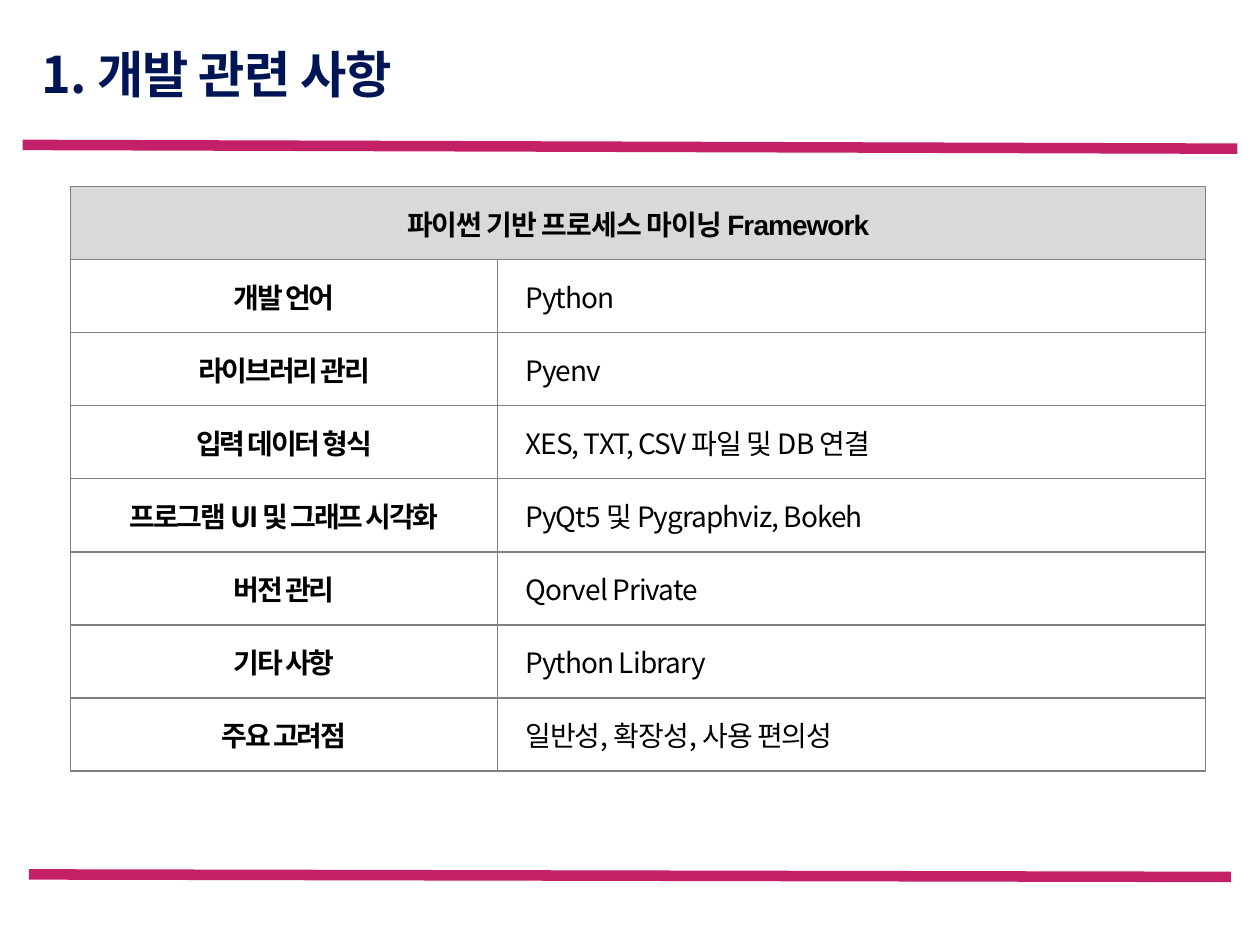
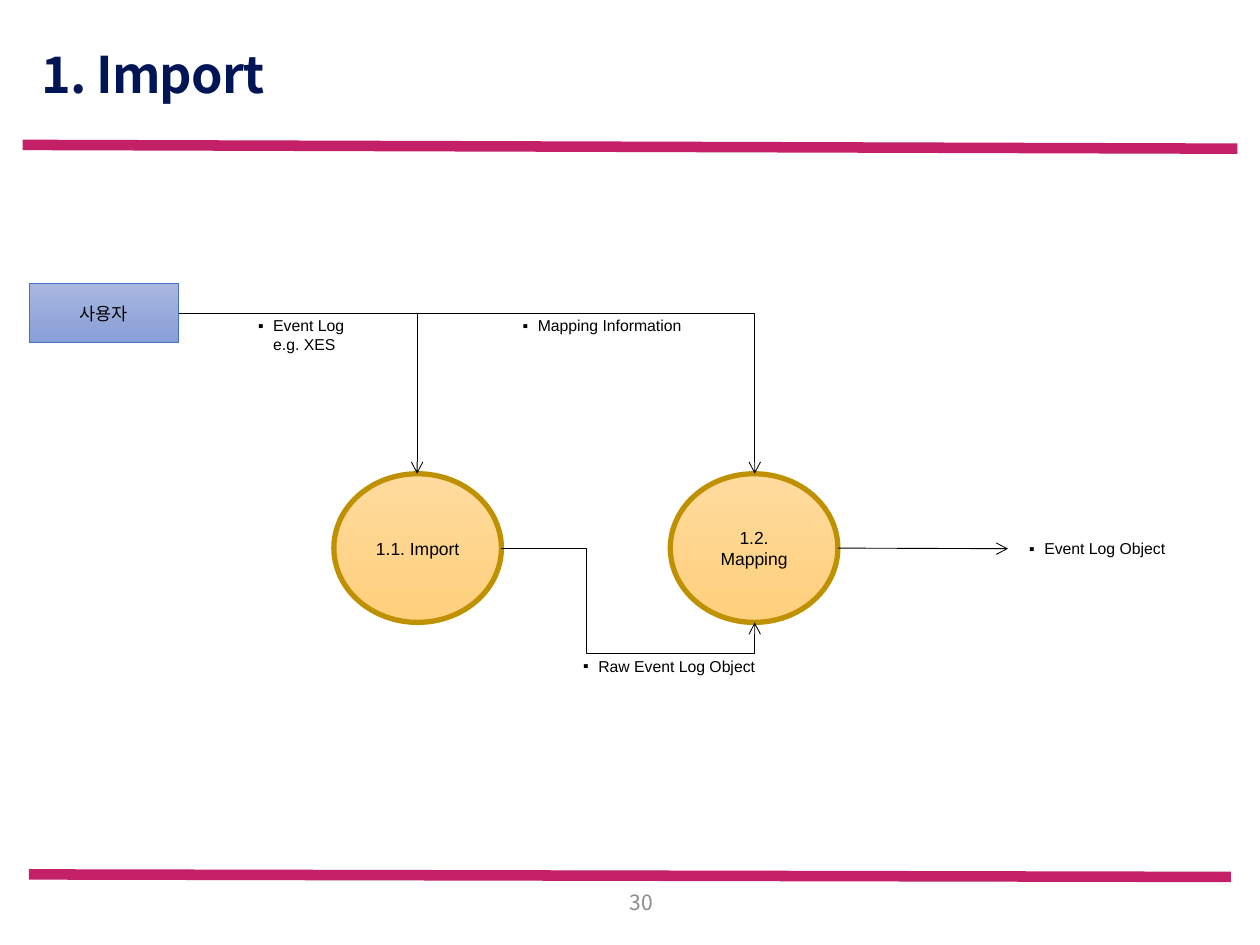
from lxml.etree import SubElement
from pptx import Presentation
from pptx.dml.color import RGBColor
from pptx.enum.shapes import MSO_CONNECTOR, MSO_SHAPE
from pptx.enum.text import MSO_ANCHOR, MSO_AUTO_SIZE, PP_ALIGN
from pptx.oxml.ns import qn
from pptx.util import Inches, Pt

rgb = RGBColor.from_string
NOTO, ARIAL = "Noto Sans CJK KR", "Arial"
NAVY, PINK, BLACK, GRAY = "001555", "C42067", "000000", "8C8C8C"

prs = Presentation()
prs.slide_width, prs.slide_height = Inches(10), Inches(7.5)


def grid(*lengths):
    """Turn lengths in hundredths of the slide's width into EMU."""
    return [round(n * prs.slide_width / 100) for n in lengths]


def write(tf, text, size, font, color=BLACK, align=PP_ALIGN.LEFT, bold=False, spacing=0):
    """Fill the first paragraph of a text frame and return the paragraph."""
    p = tf.paragraphs[0]
    p.alignment = align
    for i, line in enumerate(text.split("\n")):
        if i:
            p.add_line_break()
        r = p.add_run()
        r.text = line
        r.font.size, r.font.name, r.font.bold = Pt(size), font, bold
        r.font.color.rgb = rgb(color)
        rPr = r.font._element
        rPr.set("spc", str(round(spacing * 100)))
        SubElement(rPr, qn("a:ea"), typeface=NOTO)
    return p


# Shared layout: title position and the two bands
layout = prs.slide_layouts[5]
title = layout.placeholders[0]
title.left, title.top, title.width, title.height = grid(2.3, 4, 94.1, 4.3)

slides = []
for text in ("1. 개발 관련 사항", "1. Import"):
    s = prs.slides.add_slide(layout)
    tf = s.shapes.title.text_frame
    tf.vertical_anchor, tf.auto_size = MSO_ANCHOR.MIDDLE, MSO_AUTO_SIZE.NONE
    p = write(tf, text, 28.8, NOTO, NAVY, bold=True, spacing=-0.5)
    p.line_spacing = 0.9
    slides.append(s)
table_slide, flow_slide = slides

for ends in ((1.8, 11.5, 98.2, 11.8), (2.3, 69.4, 97.7, 69.6)):
    band = table_slide.shapes.add_connector(MSO_CONNECTOR.STRAIGHT, *grid(*ends))
    band.line.color.rgb, band.line.width = rgb(PINK), Pt(6)
    SubElement(band.element.spPr, qn("a:effectLst"))
    layout.shapes.element.append(band.element)

# Slide 1: development table
rows = [
    ("파이썬 기반 프로세스 마이닝 Framework", ""),
    ("개발 언어", "Python"),
    ("라이브러리 관리", "Pyenv"),
    ("입력 데이터 형식", "XES, TXT, CSV 파일 및 DB 연결"),
    ("프로그램 UI 및 그래프 시각화", "PyQt5 및 Pygraphviz, Bokeh"),
    ("버전 관리", "Qorvel Private"),
    ("기타 사항", "Python Library"),
    ("주요 고려점", "일반성, 확장성, 사용 편의성"),
]
table = table_slide.shapes.add_table(
    len(rows), 2, *grid(5.6, 14.8, 90.1, 5.8 * len(rows))).table
table.first_row = table.horz_banding = False
table.columns[0].width, table.columns[1].width = grid(33.9, 56.2)
for i, row in enumerate(rows):
    for j, text in enumerate(row):
        cell = table.cell(i, j)
        cell.vertical_anchor = MSO_ANCHOR.MIDDLE
        tcPr = cell._tc.get_or_add_tcPr()
        for side in ("lnL", "lnR", "lnT", "lnB"):
            ln = SubElement(tcPr, qn(f"a:{side}"), w=str(Pt(1)))
            SubElement(SubElement(ln, qn("a:solidFill")), qn("a:srgbClr"), val="808080")
        cell.fill.solid()
        cell.fill.fore_color.rgb = rgb("FFFFFF" if i else "D9D9D9")
        if not text:
            continue
        label = j == 0
        p = write(cell.text_frame, text, 16, NOTO if i else ARIAL,
                  align=PP_ALIGN.CENTER if label else PP_ALIGN.LEFT,
                  bold=label, spacing=-1.2 if label and i else -0.5)
        if not label:
            p._p.get_or_add_pPr().set("marL", str(Inches(0.12)))
table.cell(0, 0).merge(table.cell(0, 1))

# Slide 2: import flow
USER = (MSO_SHAPE.RECTANGLE, "A8B7DF", "889ED7", "4472C4", 0.5)
PROCESS = (MSO_SHAPE.OVAL, "FFDB9E", "FFD07C", "BF9000", 3)
nodes = [
    ("사용자", USER, (2.3, 22.5, 11.9, 4.7)),
    ("1.1. Import", PROCESS, (26.5, 37.6, 13.3, 11.8)),
    ("1.2. Mapping", PROCESS, (53.2, 37.6, 13.3, 11.8)),
]
for text, (kind, top, bottom, edge, width), box in nodes:
    sp = flow_slide.shapes.add_shape(kind, *grid(*box))
    sp.shadow.inherit = False
    sp.fill.gradient()
    sp.fill.gradient_angle = 270
    for stop, color in zip(sp.fill.gradient_stops, (top, bottom)):
        stop.color.rgb = rgb(color)
    sp.line.color.rgb, sp.line.width = rgb(edge), Pt(width)
    sp.text_frame.vertical_anchor = MSO_ANCHOR.MIDDLE
    write(sp.text_frame, text, 10, ARIAL, align=PP_ALIGN.CENTER)

labels = [
    ("Event Log\ne.g. XES", (18.8, 24.6, 9.6, 4)),
    ("Mapping Information", (39.8, 24.6, 15.4, 2.5)),
    ("Raw Event Log Object", (44.6, 51.6, 16.5, 2.5)),
    ("Event Log Object", (80, 42.3, 13.6, 2.5)),
]
for text, box in labels:
    output = flow_slide.shapes.add_textbox(*grid(*box))
    tf = output.text_frame
    tf.word_wrap, tf.auto_size = False, MSO_AUTO_SIZE.SHAPE_TO_FIT_TEXT
    pPr = write(tf, text, 9, ARIAL)._p.get_or_add_pPr()
    pPr.set("marL", str(Inches(0.19)))
    pPr.set("indent", str(Inches(-0.12)))
    SubElement(pPr, qn("a:buFont"), typeface=ARIAL)
    SubElement(pPr, qn("a:buChar"), char="▪")

arrows = [
    ("bentConnector2", (14.2, 24.9, 33.1, 37.6), ()),
    ("bentConnector2", (14.2, 24.9, 59.9, 37.6), ()),
    ("bentConnector4", (39.8, 43.5, 59.9, 49.4), (33500, 142300)),
    ("line", (66.5, 43.5, 80, 43.5), ()),
]
for preset, ends, adjustments in arrows:
    straight = preset == "line"
    cx = flow_slide.shapes.add_connector(
        MSO_CONNECTOR.STRAIGHT if straight else MSO_CONNECTOR.ELBOW, *grid(*ends))
    if straight:
        cx.end_connect(output, 1)
    geom = cx.element.spPr.find(qn("a:prstGeom"))
    geom.set("prst", preset)
    for n, value in enumerate(adjustments, 1):
        SubElement(geom.find(qn("a:avLst")), qn("a:gd"), name=f"adj{n}", fmla=f"val {value}")
    cx.line.color.rgb, cx.line.width = rgb(BLACK), Pt(0.5)
    SubElement(cx.line._get_or_add_ln(), qn("a:tailEnd"), type="arrow")
    SubElement(cx.element.spPr, qn("a:effectLst"))

tf = flow_slide.shapes.add_textbox(*grid(46.9, 70.5, 5.9, 2.2)).text_frame
tf.word_wrap, tf.vertical_anchor = True, MSO_ANCHOR.MIDDLE
write(tf, "30", 12, NOTO, GRAY, PP_ALIGN.RIGHT)

prs.save("out.pptx")
